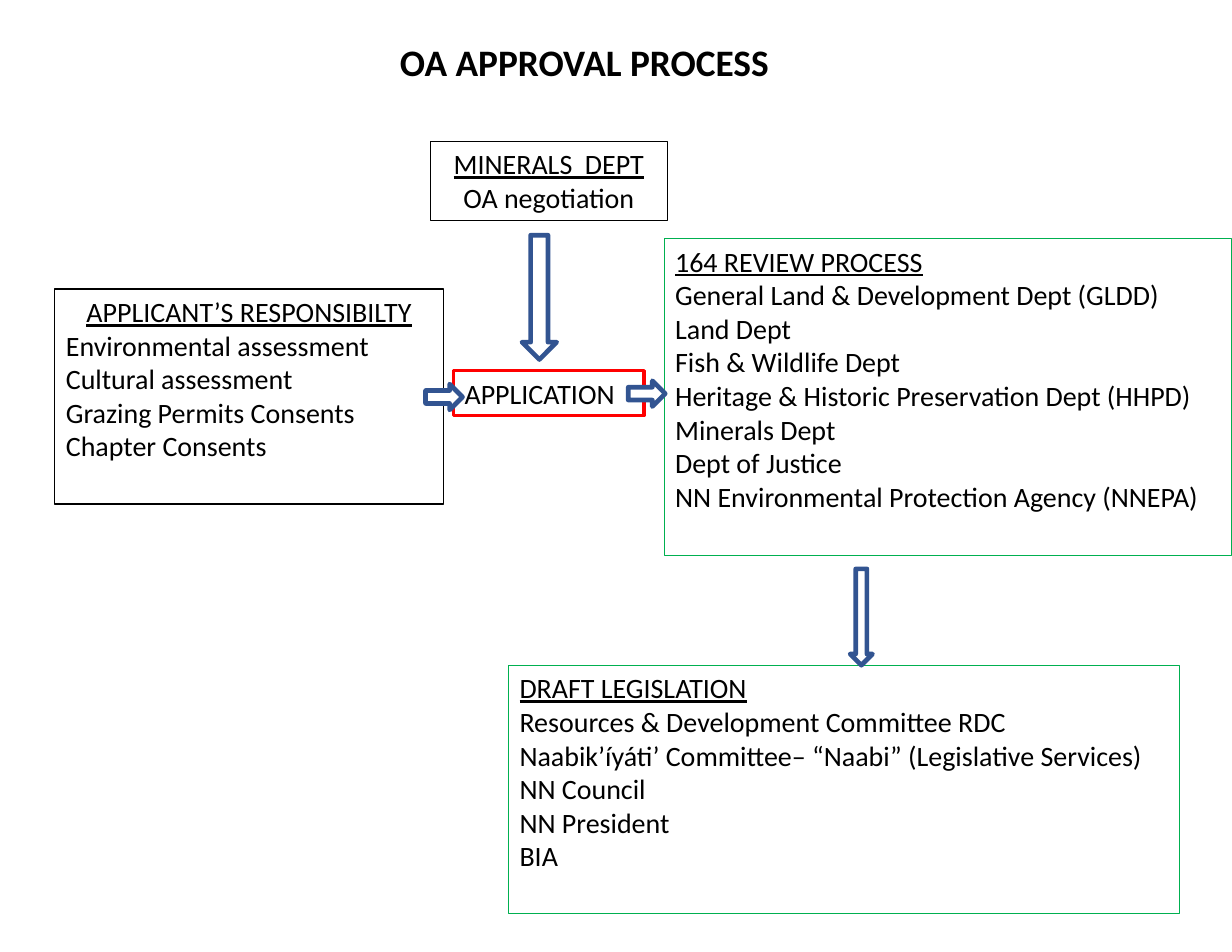
import dataclasses

import pptx
import pptx.dml.color
import pptx.enum.shapes
import pptx.enum.text
import pptx.util

Inches = pptx.util.Inches
Align = pptx.enum.text.PP_ALIGN


@dataclasses.dataclass(frozen=True)
class Theme:
    font: str = "Calibri"
    title_size: int = 24
    body_size: int = 18
    text: str = "000000"
    request: str = "FF0000"
    review: str = "00B050"
    arrow: str = "325491"
    arrow_fill: str = "FFFFFF"


THEME = Theme()


def rgb(value):
    return pptx.dml.color.RGBColor.from_string(value)


def write(p, text, size=THEME.body_size, bold=False, underline=False, align=Align.LEFT):
    p.alignment = align
    r = p.add_run()
    r.text = text
    r.font.name = THEME.font
    r.font.size = pptx.util.Pt(size)
    r.font.bold = bold
    r.font.underline = underline
    r.font.color.rgb = rgb(THEME.text)


def add_title(s, box, text):
    sp = s.shapes.title
    sp.left, sp.top, sp.width, sp.height = map(Inches, box)
    write(sp.text_frame.paragraphs[0], text, size=THEME.title_size, bold=True)


def add_step(s, box, heading, items=(), line=THEME.text, weight=0.75,
             heading_align=Align.LEFT, item_align=Align.LEFT):
    sp = s.shapes.add_textbox(*map(Inches, box))
    sp.line.color.rgb = rgb(line)
    sp.line.width = pptx.util.Pt(weight)
    tf = sp.text_frame
    tf.word_wrap = True
    write(tf.paragraphs[0], heading, underline=bool(items), align=heading_align)
    for item in items:
        write(tf.add_paragraph(), item, align=item_align)


def add_arrow(s, box, rotation=0):
    shape_type = pptx.enum.shapes.MSO_SHAPE.RIGHT_ARROW
    sp = s.shapes.add_shape(shape_type, *map(Inches, box))
    sp.rotation = rotation
    sp.shadow.inherit = False
    sp.fill.solid()
    sp.fill.fore_color.rgb = rgb(THEME.arrow_fill)
    sp.line.color.rgb = rgb(THEME.arrow)
    sp.line.width = pptx.util.Pt(3)


def build_process(s):
    add_title(s, (3.47, 0.3, 5.84, 0.5), "OA APPROVAL PROCESS")
    add_step(s, (0.49, 2.58, 3.47, 1.92), "APPLICANT’S RESPONSIBILTY", [
        "Environmental assessment",
        "Cultural assessment",
        "Grazing Permits Consents",
        "Chapter Consents",
    ], heading_align=Align.CENTER)
    add_step(s, (4.05, 3.31, 1.7, 0.4), "APPLICATION", line=THEME.request, weight=2.25)
    add_step(s, (3.84, 1.26, 2.12, 0.71), "MINERALS  DEPT", ["OA negotiation"],
             heading_align=Align.CENTER, item_align=Align.CENTER)
    add_step(s, (5.93, 2.13, 5.07, 2.83), "164 REVIEW PROCESS", [
        "General Land & Development Dept (GLDD)",
        "Land Dept",
        "Fish & Wildlife Dept",
        "Heritage & Historic Preservation Dept (HHPD)",
        "Minerals Dept",
        "Dept of Justice",
        "NN Environmental Protection Agency (NNEPA)",
    ], line=THEME.review)
    add_step(s, (4.54, 5.94, 5.99, 2.22), "DRAFT LEGISLATION", [
        "Resources & Development Committee RDC",
        "Naabik’íyáti’ Committee– “Naabi” (Legislative Services)",
        "NN Council",
        "NN President",
        "BIA",
    ], line=THEME.review)
    add_arrow(s, (3.8, 3.43, 0.33, 0.23))
    add_arrow(s, (4.26, 2.5, 1.11, 0.31), rotation=90)
    add_arrow(s, (5.61, 3.4, 0.33, 0.23))
    add_arrow(s, (7.26, 5.41, 0.86, 0.2), rotation=90)


def main():
    prs = pptx.Presentation()
    prs.slide_width = Inches(11)
    prs.slide_height = Inches(8.5)
    build_process(prs.slides.add_slide(prs.slide_layouts[5]))
    prs.save("out.pptx")


if __name__ == "__main__":
    main()
